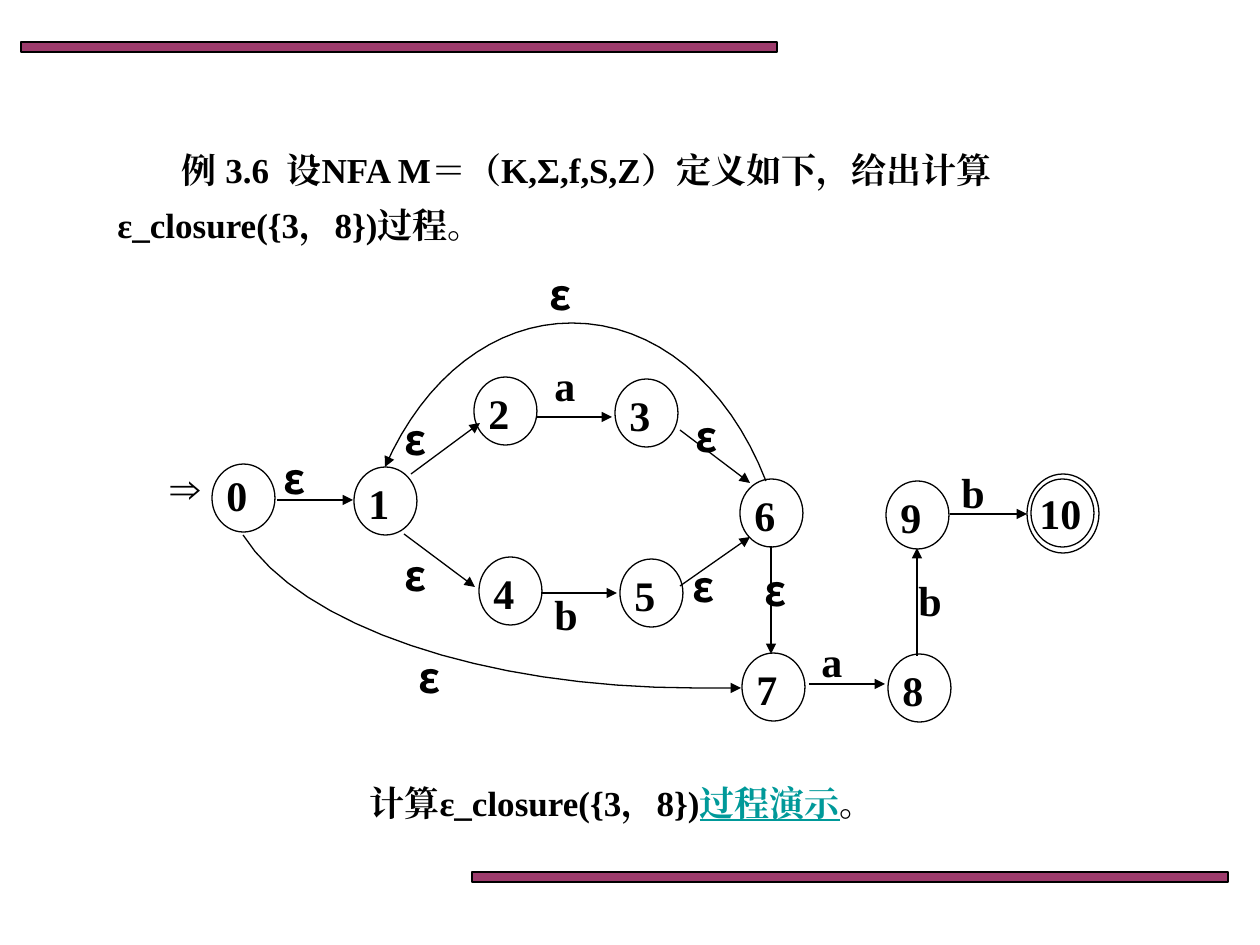
"""Build a slide showing an NFA and the epsilon-closure exercise for it."""
import pptx
import pptx.dml.color
import pptx.enum.shapes
import pptx.oxml.ns
import pptx.oxml.xmlchemy
import pptx.util

EMU_PER_PX = 914400 / 126
SERIF, SANS = "Times New Roman", "Noto Sans CJK SC"
BLACK, WHITE, PLUM, TEAL = "000000", "FFFFFF", "993366", "009999"

BARS = [(21, 42, 756, 10), (472, 872, 756, 10)]
QUESTION = "例 3.6  设NFA M＝（K,Σ,f,S,Z）定义如下，给出计算ε_closure({3，8})过程。"
ANSWER = ["计算ε_closure({3，8})", "过程演示", "。"]

NODE_WIDTH, NODE_HEIGHT = 63, 68
LABEL_WIDTH, WIDE_LABEL, LABEL_HEIGHT = 57, 66, 67
STATES = {
    "0": (212, 464), "1": (354, 467), "2": (474, 377), "3": (615, 379),
    "4": (479, 557), "5": (620, 559), "6": (740, 479), "7": (742, 653),
    "8": (888, 654), "9": (886, 481), "10": (1031, 479),
}
FINAL_RING = (1027, 474, 72, 79)
NUMBER_OFFSET = (2, 4)
SPECIAL_OFFSETS = {"0": (2, -1), "10": (-4, 2)}

ARROWS = [
    ((277, 500), (353, 500)), ((809, 684), (885, 684)), ((950, 514), (1027, 514)),
    ((537, 417), (612, 417)), ((542, 593), (617, 593)), ((411, 474), (480, 423)),
    ((680, 586), (750, 537)), ((680, 430), (750, 483)), ((404, 534), (475, 587)),
    ((771, 546), (771, 654)), ((917, 656), (917, 548)),
]
CURVES = [
    [(243, 535), (300, 626), (484, 688), (694, 688), (709, 688), (726, 688), (741, 688)],
    [(766, 481), (728, 383), (654, 323), (572, 323), (495, 323), (425, 376), (385, 467)],
]
CURVE_STEPS = 16
LABELS = [
    ("⇒", 158, 455, 76, SERIF),
    ("a", 542, 353, LABEL_WIDTH, SERIF), ("a", 809, 629, LABEL_WIDTH, SERIF),
    ("b", 906, 568, LABEL_WIDTH, SERIF), ("b", 949, 460, LABEL_WIDTH, SERIF),
    ("b", 542, 582, LABEL_WIDTH, SERIF),
    ("ε", 271, 446, LABEL_WIDTH, SANS), ("ε", 406, 645, LABEL_WIDTH, SANS),
    ("ε", 537, 262, LABEL_WIDTH, SANS), ("ε", 392, 407, WIDE_LABEL, SANS),
    ("ε", 392, 543, WIDE_LABEL, SANS), ("ε", 752, 558, WIDE_LABEL, SANS),
    ("ε", 683, 404, WIDE_LABEL, SANS), ("ε", 680, 554, WIDE_LABEL, SANS),
]


def px(value):
    return round(value * EMU_PER_PX)


def color(hex_string):
    return pptx.dml.color.RGBColor.from_string(hex_string)


def add_element(parent, tag, **attributes):
    element = pptx.oxml.xmlchemy.OxmlElement(tag)
    for name, value in attributes.items():
        element.set(name, value)
    parent.append(element)
    return element


def style_line(shape, arrow=False):
    shape.line.color.rgb = color(BLACK)
    shape.line.width = pptx.util.Pt(0.75)
    if arrow:
        add_element(shape.line._get_or_add_ln(), "a:tailEnd", type="triangle")


def add_outlined(slide, kind, box, fill=None):
    shape = slide.shapes.add_shape(kind, *map(px, box))
    shape.shadow.inherit = False
    if fill:
        shape.fill.solid()
        shape.fill.fore_color.rgb = color(fill)
    else:
        shape.fill.background()
    style_line(shape)
    return shape


def add_text(slide, box, runs, size, font=SERIF):
    frame = slide.shapes.add_textbox(*map(px, box)).text_frame
    frame.word_wrap = True
    paragraph = frame.paragraphs[0]
    for text in runs:
        paragraph.add_run().text = text
    paragraph.font.name = font
    paragraph.font.size = pptx.util.Pt(size)
    paragraph.font.bold = True
    paragraph.font.color.rgb = color(BLACK)
    add_element(paragraph.font._element, "a:ea", typeface=font)
    return paragraph


def bezier(points, t):
    weights = ((1 - t) ** 3, 3 * t * (1 - t) ** 2, 3 * t * t * (1 - t), t ** 3)
    return tuple(px(sum(w * p[axis] for w, p in zip(weights, points))) for axis in (0, 1))


def add_curve(slide, points):
    vertices = [
        bezier(points[start:start + 4], step / CURVE_STEPS)
        for start in range(0, len(points) - 1, 3)
        for step in range(1, CURVE_STEPS + 1)
    ]
    builder = slide.shapes.build_freeform(*map(px, points[0]), scale=1.0)
    builder.add_line_segments(vertices, close=False)
    shape = builder.convert_to_shape()
    shape.shadow.inherit = False
    shape.fill.background()
    style_line(shape, arrow=True)


def add_arrow(slide, start, end):
    straight = pptx.enum.shapes.MSO_CONNECTOR.STRAIGHT
    connector = slide.shapes.add_connector(straight, *map(px, start + end))
    style_line(connector, arrow=True)
    add_element(connector._element.spPr, "a:effectLst")


def add_state(slide, name, left, top):
    oval = pptx.enum.shapes.MSO_SHAPE.OVAL
    add_outlined(slide, oval, (left, top, NODE_WIDTH, NODE_HEIGHT), WHITE)
    dx, dy = SPECIAL_OFFSETS.get(name, NUMBER_OFFSET)
    width = 76 if len(name) > 1 else LABEL_WIDTH
    add_text(slide, (left + dx, top + dy, width, LABEL_HEIGHT), [name], 24)


def main():
    presentation = pptx.Presentation()
    presentation.slide_width, presentation.slide_height = px(1260), px(945)
    slide = presentation.slides.add_slide(presentation.slide_layouts[6])
    shapes = pptx.enum.shapes.MSO_SHAPE

    for box in BARS:
        bar = add_outlined(slide, shapes.RECTANGLE, box, PLUM)
        rgb = bar._element.spPr.find(".//" + pptx.oxml.ns.qn("a:srgbClr"))
        add_element(rgb, "a:alpha", val="96000")

    question = add_text(slide, (105, 130, 1050, 117), [QUESTION], 20)
    question.line_spacing = 1.3
    question.space_before = pptx.util.Pt(10)
    question._p.get_or_add_pPr().set("indent", str(px(64)))

    for name, (left, top) in STATES.items():
        add_state(slide, name, left, top)
    add_outlined(slide, shapes.OVAL, FINAL_RING)
    for start, end in ARROWS:
        add_arrow(slide, start, end)
    for points in CURVES:
        add_curve(slide, points)
    for text, left, top, width, font in LABELS:
        add_text(slide, (left, top, width, LABEL_HEIGHT), [text], 24, font)

    answer = add_text(slide, (357, 775, 577, 54), ANSWER, 20)
    answer.space_before = pptx.util.Pt(10)
    demo = answer.runs[1].font
    demo.color.rgb = color(TEAL)
    demo.underline = True

    presentation.save("out.pptx")


if __name__ == "__main__":
    main()
